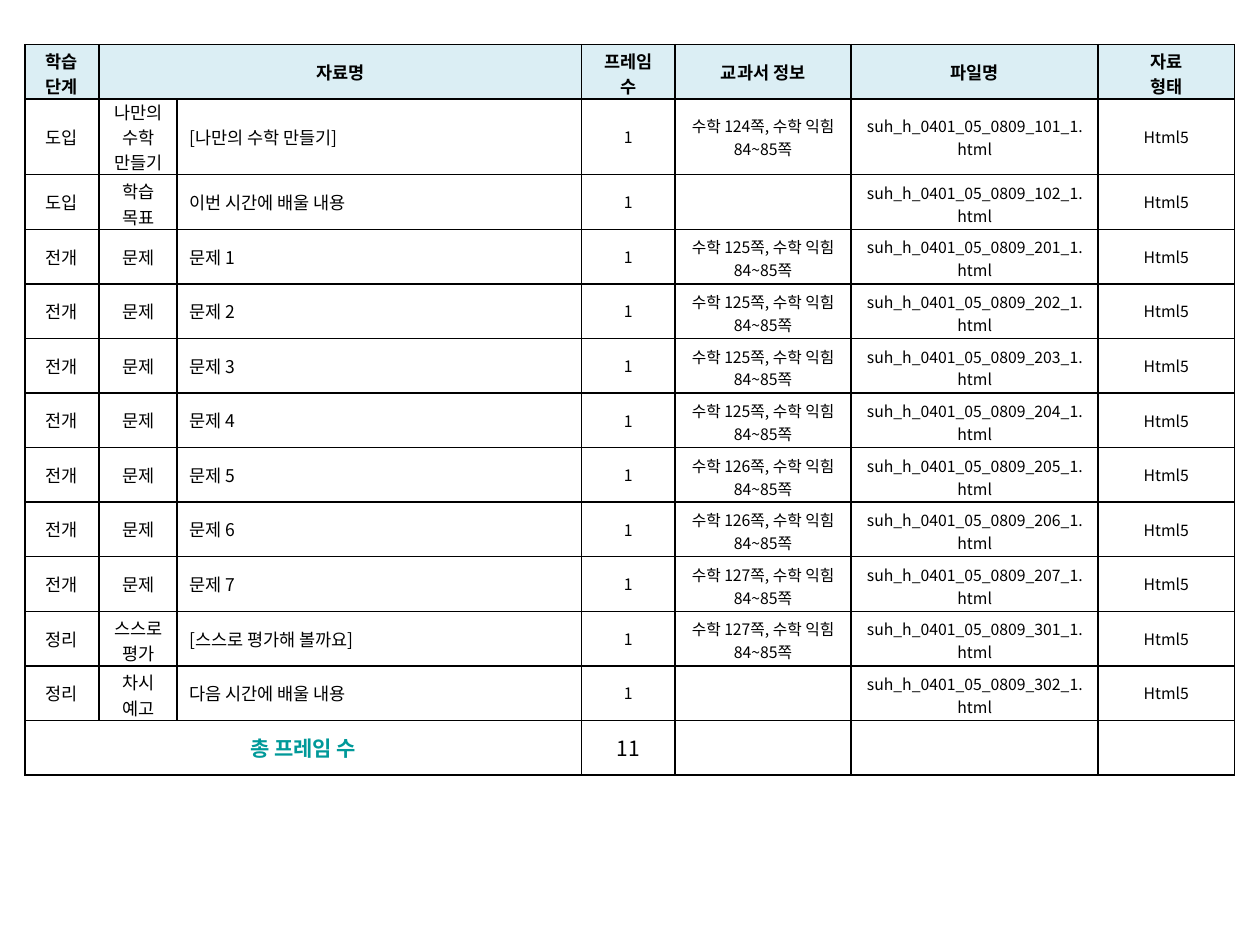
from lxml.etree import SubElement
from pptx import Presentation
from pptx.dml.color import RGBColor
from pptx.enum.text import MSO_ANCHOR as Anchor, PP_ALIGN as Align
from pptx.oxml.ns import qn
from pptx.util import Emu, Pt

PX = 3048
FONT = "Noto Sans CJK KR"
LINE_PX_PER_POINT = 6.04
MARGIN = 15
BLACK = RGBColor(0, 0, 0)
TEAL = RGBColor(0, 153, 153)
PALE_BLUE = RGBColor(219, 238, 244)

COLUMN_WIDTHS = [177, 186, 963, 222, 420, 588, 324]
FIRST_HEIGHT, ROW_HEIGHT = 180, 130
BODY_SIZES = [10, 10, 10, 9, 9, 9, 9]
HEADERS = ["학습 단계", "자료명", "", "프레임 수", "교과서 정보", "파일명", "자료\n형태"]
HEADER_LINES = [2, 1, 1, 2, 1, 1, 2]
PROBLEM_PAGES = [125, 125, 125, 125, 126, 126, 127]
LESSONS = [
    ("도입", "나만의 수학 만들기", "[나만의 수학 만들기]", 124, 101),
    ("도입", "학습 목표", "이번 시간에 배울 내용", None, 102),
    *[("전개", "문제", f"문제 {number}", page, 200 + number)
      for number, page in enumerate(PROBLEM_PAGES, 1)],
    ("정리", "스스로 평가", "[스스로 평가해 볼까요]", 127, 301),
    ("정리", "차시 예고", "다음 시간에 배울 내용", None, 302),
]


def px(length):
    return Emu(length * PX)


def write_text(frame, text, size=10, color=BLACK, bold=False, align=Align.CENTER):
    for index, line in enumerate(text.split("\n")):
        paragraph = frame.add_paragraph() if index else frame.paragraphs[0]
        paragraph.alignment = align
        if not line:
            paragraph._p.get_or_add_endParaRPr().set("sz", str(size * 100))
            continue
        run = paragraph.add_run()
        run.text = line
        font = run.font
        font.size, font.bold, font.name = Pt(size), bold, FONT
        font.color.rgb = color
        SubElement(font._element, qn("a:ea")).set("typeface", FONT)


class SlideBuilder:
    def __init__(self, slide, border_color=BLACK, border_width=1):
        self.slide = slide
        self.border_color = border_color
        self.border_width = border_width

    def table(self, left, top, widths, heights):
        frame = self.slide.shapes.add_table(
            len(heights), len(widths), px(left), px(top),
            px(sum(widths)), px(sum(heights)))
        table = frame.table
        table.first_row = table.horz_banding = False
        for column, width in zip(table.columns, widths):
            column.width = px(width)
        for row, height in zip(table.rows, heights):
            row.height = px(height)
        return table

    def borders(self, cell):
        properties = cell._tc.get_or_add_tcPr()
        for side in ("a:lnL", "a:lnR", "a:lnT", "a:lnB"):
            line = SubElement(properties, qn(side), w=str(Pt(self.border_width)))
            fill = SubElement(line, qn("a:solidFill"))
            SubElement(fill, qn("a:srgbClr"), val=str(self.border_color))

    def fit_margins(self, cell, height, lines, size):
        spare = max(0, int(height - lines * size * LINE_PX_PER_POINT))
        top = min(MARGIN, spare)
        cell.margin_top = px(top)
        cell.margin_bottom = px(min(MARGIN, spare - top))

    def cell(self, cell, text, fill=None, height=ROW_HEIGHT, lines=1, size=10,
             **text_format):
        self.borders(cell)
        self.fit_margins(cell, height, lines, size)
        cell.vertical_anchor = Anchor.MIDDLE
        if fill is None:
            cell.fill.background()
        else:
            cell.fill.solid()
            cell.fill.fore_color.rgb = fill
        write_text(cell.text_frame, text, size=size, **text_format)


def lesson_texts(stage, kind, title, page, code):
    pages = f"수학 {page}쪽, 수학 익힘 84~85쪽" if page else ""
    return [stage, kind, title, "1", pages, f"suh_h_0401_05_0809_{code}_1.html", "Html5"]


def main():
    presentation = Presentation()
    presentation.slide_width, presentation.slide_height = px(3000), px(2250)
    builder = SlideBuilder(presentation.slides.add_slide(presentation.slide_layouts[6]))

    heights = [ROW_HEIGHT, FIRST_HEIGHT] + [ROW_HEIGHT] * len(LESSONS)
    table = builder.table(59, 106, COLUMN_WIDTHS, heights)
    total_row = len(heights) - 1
    table.cell(0, 1).merge(table.cell(0, 2))
    table.cell(total_row, 0).merge(table.cell(total_row, 2))

    for column, (header, lines) in enumerate(zip(HEADERS, HEADER_LINES)):
        builder.cell(table.cell(0, column), header, fill=PALE_BLUE, lines=lines, bold=True)
    for row, lesson in enumerate(LESSONS, 1):
        texts = lesson_texts(*lesson)
        line_counts = [1, len(texts[1].split()), 1, 1, 2, 2, 1]
        for column, text in enumerate(texts):
            builder.cell(table.cell(row, column), text, height=heights[row],
                         lines=line_counts[column], size=BODY_SIZES[column],
                         align=Align.LEFT if column == 2 else Align.CENTER)
    builder.cell(table.cell(total_row, 0), "총 프레임 수", size=12, color=TEAL, bold=True)
    for column, text in enumerate(["", "", "11", "", "", ""], 1):
        builder.cell(table.cell(total_row, column), text, size=12)

    presentation.save("out.pptx")


if __name__ == "__main__":
    main()
